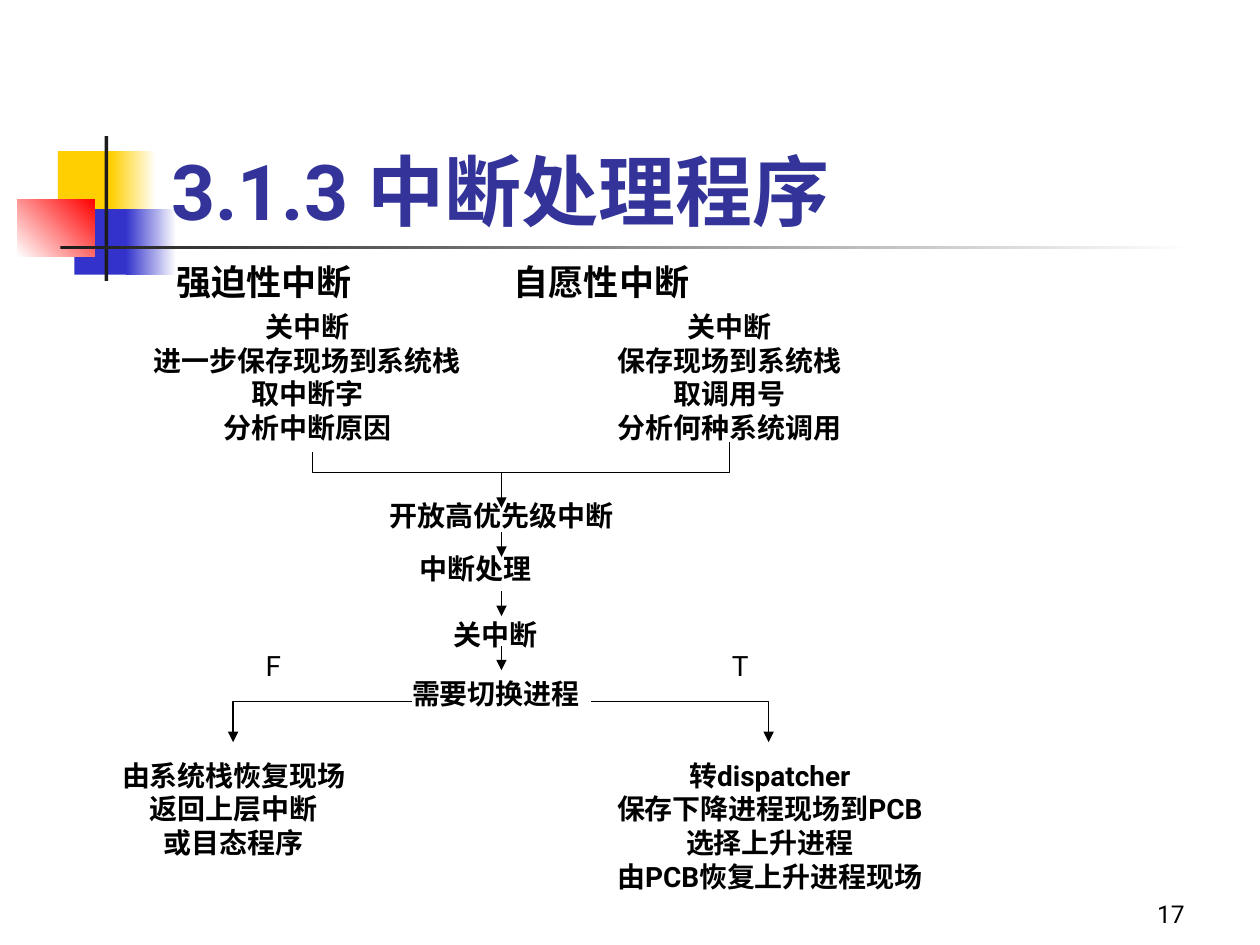
from lxml import etree
from pptx import Presentation
from pptx import util as u
from pptx.dml import color
from pptx.enum import shapes, text
from pptx.oxml import ns

FONT = "Roboto"
BLACK = "000000"
AXIS = 3.98
LEFT, CENTER, RIGHT = text.PP_ALIGN.LEFT, text.PP_ALIGN.CENTER, text.PP_ALIGN.RIGHT
TOP, BOTTOM = text.MSO_ANCHOR.TOP, text.MSO_ANCHOR.BOTTOM

DECOR = [
    ((0.46, 1.2, 0.48, 0.52), ["FFCF01"], 0),
    ((0.88, 1.2, 0.36, 0.52), ["FFCF01", "FFFFFF"], 0),
    ((0.59, 1.66, 0.46, 0.52), ["3333CC"], 0),
    ((1, 1.66, 0.4, 0.52), ["3333CC", "FFFFFF"], 0),
    ((0.14, 1.58, 0.61, 0.46), ["FFFFFF", "FF0000"], 45),
    ((0.83, 1.08, 0.03, 1.15), ["1C1C1C"], 0),
    ((0.48, 1.95, 9, 0.03), ["1C1C1C", "FFFFFF"], 0),
]

STYLES = {
    "title": dict(size=44, bold=True, hue="333399", align=LEFT, anchor=BOTTOM),
    "heading": dict(size=20, bold=True, hue=BLACK, align=LEFT, anchor=TOP),
    "step": dict(size=16, bold=True, hue=BLACK, align=CENTER, anchor=TOP),
    "step_left": dict(size=16, bold=True, hue=BLACK, align=LEFT, anchor=TOP),
    "branch": dict(size=16, bold=False, hue=BLACK, align=LEFT, anchor=TOP),
    "number": dict(size=14, bold=False, hue=BLACK, align=RIGHT, anchor=BOTTOM),
}

TEXTS = [
    ("title", (1.26, 0.67, 8.52, 1.25), ["3.1.3 中断处理程序"]),
    ("heading", (1.3, 2.02, 1.89, 0.44), ["强迫性中断"]),
    ("heading", (3.98, 2.02, 1.89, 0.44), ["自愿性中断"]),
    ("step", (1.06, 2.41, 2.76, 1.17),
     ["关中断", "进一步保存现场到系统栈", "取中断字", "分析中断原因"]),
    ("step", (4.69, 2.41, 2.2, 1.17),
     ["关中断", "保存现场到系统栈", "取调用号", "分析何种系统调用"]),
    ("step", (2.72, 3.91, 2.52, 0.37), ["开放高优先级中断"]),
    ("step_left", (3.23, 4.33, 2.01, 0.37), ["中断处理"]),
    ("step", (3.11, 4.85, 1.65, 0.37), ["关中断"]),
    ("step", (3.11, 5.32, 1.65, 0.37), ["需要切换进程"]),
    ("branch", (2.01, 5.1, 0.32, 0.37), ["F"]),
    ("branch", (5.71, 5.1, 0.32, 0.37), ["T"]),
    ("step", (0.83, 5.97, 2.05, 0.9), ["由系统栈恢复现场", "返回上层中断", "或目态程序"]),
    ("step", (4.69, 5.97, 2.84, 1.17),
     ["转dispatcher", "保存下降进程现场到PCB", "选择上升进程", "由PCB恢复上升进程现场"]),
    ("number", (7.42, 6.92, 2.08, 0.5), ["17"]),
]

ARROWS = [(3.75, 4.03), (4.22, 4.42), (4.69, 4.89), (5.13, 5.32)]

ROUTES = [
    ([(2.48, 3.59), (2.48, 3.75), (5.79, 3.75), (5.79, 3.51)], False),
    ([(3.27, 5.57), (1.85, 5.57), (1.85, 5.89)], True),
    ([(4.69, 5.57), (6.1, 5.57), (6.1, 5.89)], True),
]


def rgb(value):
    return color.RGBColor.from_string(value)


def inches(values):
    return [u.Inches(value) for value in values]


def add_decor(slide, place, hues, angle):
    block = slide.shapes.add_shape(shapes.MSO_SHAPE.RECTANGLE, *inches(place))
    block.shadow.inherit = False
    block.line.fill.background()
    if len(hues) == 1:
        block.fill.solid()
        block.fill.fore_color.rgb = rgb(hues[0])
        return
    block.fill.gradient()
    block.fill.gradient_angle = angle
    for stop, hue in zip(block.fill.gradient_stops, hues):
        stop.color.rgb = rgb(hue)


def add_text(slide, style, place, lines):
    look = STYLES[style]
    frame = slide.shapes.add_textbox(*inches(place)).text_frame
    settings = dict(word_wrap=True, vertical_anchor=look["anchor"])
    for name, value in settings.items():
        setattr(frame, name, value)
    frame.text = "\n".join(lines)
    font_format = dict(name=FONT, size=u.Pt(look["size"]), bold=look["bold"])
    for paragraph in frame.paragraphs:
        paragraph.alignment = look["align"]
        for run in paragraph.runs:
            for name, value in font_format.items():
                setattr(run.font, name, value)
            run.font.color.rgb = rgb(look["hue"])


def style_line(item, arrow):
    item.line.color.rgb = rgb(BLACK)
    item.line.width = u.Pt(0.75)
    if arrow:
        outline = item.line._get_or_add_ln()
        etree.SubElement(outline, ns.qn("a:tailEnd"), type="triangle")


def add_arrow(slide, start, end):
    arrow = slide.shapes.add_connector(
        shapes.MSO_CONNECTOR.STRAIGHT, *inches((AXIS, start, AXIS, end)))
    style_line(arrow, True)
    etree.SubElement(arrow._element.spPr, ns.qn("a:effectLst"))


def add_route(slide, points, arrow):
    start, *rest = [inches(point) for point in points]
    builder = slide.shapes.build_freeform(*start)
    builder.add_line_segments(rest, close=False)
    route = builder.convert_to_shape()
    route.fill.background()
    style_line(route, arrow)
    route.shadow.inherit = False


def main():
    deck = Presentation()
    deck.slide_width, deck.slide_height = inches((10, 7.5))
    slide = deck.slides.add_slide(deck.slide_layouts[6])
    for add, items in ((add_decor, DECOR), (add_route, ROUTES),
                       (add_arrow, ARROWS), (add_text, TEXTS)):
        for item in items:
            add(slide, *item)
    deck.save("out.pptx")


if __name__ == "__main__":
    main()
